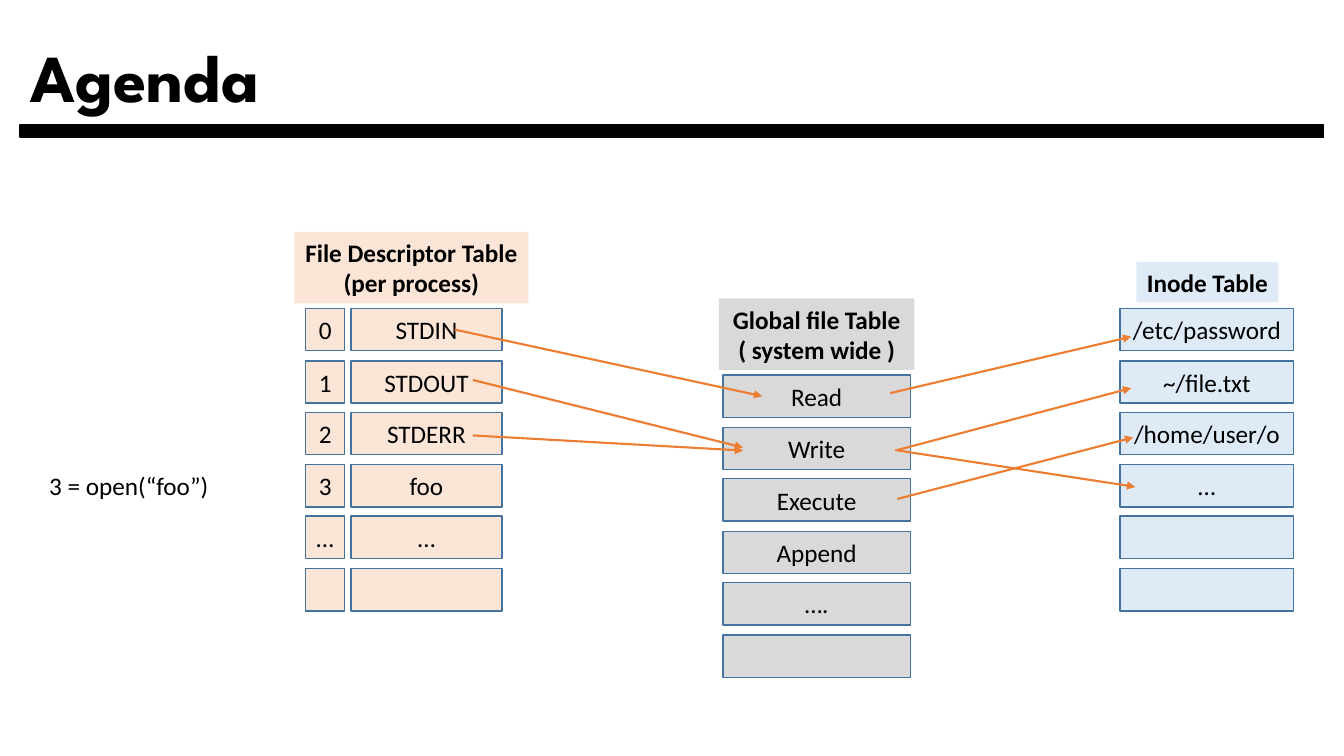
from dataclasses import dataclass

from lxml.etree import SubElement
from pptx import Presentation
from pptx.dml.color import RGBColor
from pptx.enum.shapes import MSO_CONNECTOR as CONN, MSO_SHAPE as SHAPE
from pptx.enum.text import MSO_ANCHOR as ANCHOR, MSO_AUTO_SIZE as FIT, PP_ALIGN as ALIGN
from pptx.oxml.ns import qn
from pptx.util import Pt

PX = 9144  # 100 px to the inch


@dataclass(frozen=True)
class Theme:
    ink: str = "000000"
    border: str = "43739E"
    arrow: str = "ED7D31"
    peach: str = "FBE5D6"
    grey: str = "D9D9D9"
    blue: str = "DEEBF7"
    title_font: str = "League Spartan"
    body_font: str = "Calibri"
    title_size: int = 48
    body_size: int = 18


theme = Theme()


def rgb(value):
    return RGBColor.from_string(value)


def add_box(rect, text, fill, border=None, bold=False):
    s = slide.shapes.add_shape(SHAPE.RECTANGLE, *(v * PX for v in rect))
    s.shadow.inherit = False
    s.fill.solid()
    s.fill.fore_color.rgb = rgb(fill)
    if border:
        s.line.color.rgb = rgb(border)
        s.line.width = Pt(1)
    else:
        s.line.fill.background()
    if text:
        tf = s.text_frame
        tf.text = text
        tf.word_wrap = not bold
        tf.vertical_anchor = ANCHOR.MIDDLE
        for p in tf.paragraphs:
            p.alignment = ALIGN.CENTER
            p.font.name = theme.body_font
            p.font.size = Pt(theme.body_size)
            p.font.bold = bold
            p.font.color.rgb = rgb(theme.ink)


prs = Presentation()
prs.slide_width, prs.slide_height = 1333 * PX, 750 * PX
slide = prs.slides.add_slide(prs.slide_layouts[5])

# Title and rule
title = slide.shapes.title
title.left, title.top, title.width, title.height = 20 * PX, 30 * PX, 272 * PX, 91 * PX
tf = title.text_frame
tf.text = "Agenda"
tf.word_wrap = False
tf.auto_size = FIT.NONE
tf.vertical_anchor = ANCHOR.TOP
p = tf.paragraphs[0]
p.alignment = ALIGN.LEFT
p.font.name = theme.title_font
p.font.size = Pt(theme.title_size)
p.font.bold = True
p.font.color.rgb = rgb(theme.ink)
add_box((20, 124, 1293, 12), "", theme.ink, theme.ink)

# Tables: fill, first row top, heading and its place, columns (left, width, cells)
ROW_PITCH, ROW_HEIGHT = 51.6, 42
tables = [
    (theme.blue, 306, "Inode Table", (1127, 260, 141, 40),
     [(1111, 172, ["/etc/password", "~/file.txt", "/home/user/o", "…", "", ""])]),
    (theme.grey, 372, "Global file Table\n( system wide )", (713, 296, 194, 71),
     [(717, 186, ["Read", "Write", "Execute", "Append", "….", ""])]),
    (theme.peach, 306, "File Descriptor Table\n(per process)", (292, 230, 232, 71),
     [(348, 150, ["STDIN", "STDOUT", "STDERR", "foo", "…", ""]),
      (303, 39, ["0", "1", "2", "3", "…", ""])]),
]
for fill, top, heading, heading_rect, columns in tables:
    for left, width, cells in columns:
        for row, text in enumerate(cells):
            y = top + round(row * ROW_PITCH)
            add_box((left, y, width, ROW_HEIGHT), text, fill, theme.border)
    add_box(heading_rect, heading, fill, bold=True)

# Arrows from descriptors to files, then from files to inodes
arrows = [
    (451, 327, 756, 393), (469, 377, 737, 444), (469, 432, 737, 447),
    (883, 390, 1122, 334), (888, 447, 1122, 385), (890, 495, 1124, 434),
    (891, 447, 1126, 483),
]
for ends in arrows:
    s = slide.shapes.add_connector(CONN.STRAIGHT, *(v * PX for v in ends))
    s.line.color.rgb = rgb(theme.arrow)
    s.line.width = Pt(1.5)
    SubElement(s.line._get_or_add_ln(), qn("a:tailEnd"), type="triangle")
    SubElement(s._element.spPr, qn("a:effectLst"))

# Call that opens descriptor 3
tf = slide.shapes.add_textbox(39 * PX, 462 * PX, 180 * PX, 40 * PX).text_frame
tf.text = "3 = open(“foo”)"
tf.word_wrap = False
p = tf.paragraphs[0]
p.font.name = theme.body_font
p.font.size = Pt(theme.body_size)
p.font.color.rgb = rgb(theme.ink)

prs.save("out.pptx")
